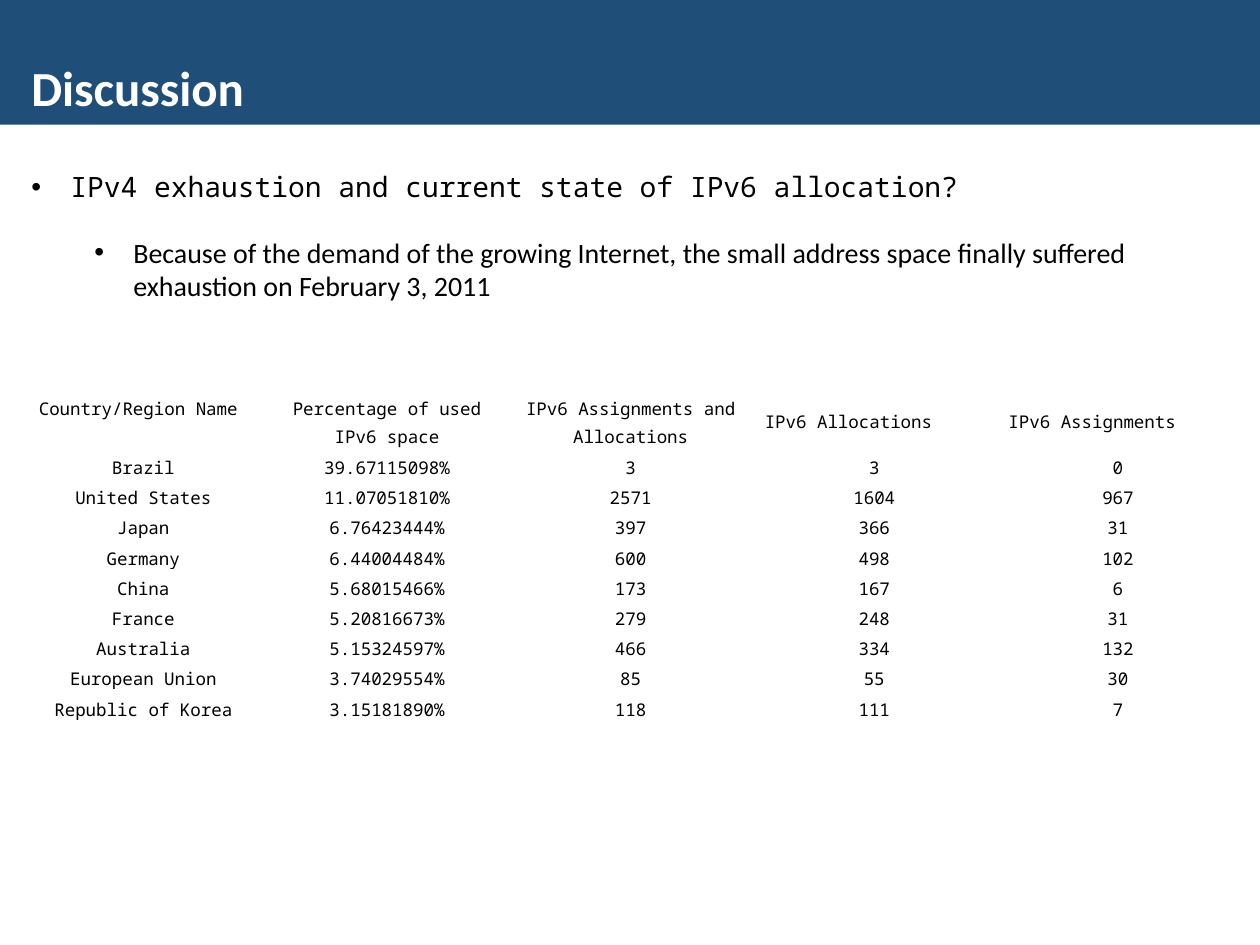
from dataclasses import dataclass

from lxml import etree
from pptx import Presentation
from pptx.dml.color import RGBColor
from pptx.enum.shapes import MSO_SHAPE
from pptx.enum.text import MSO_ANCHOR, MSO_AUTO_SIZE, PP_ALIGN
from pptx.oxml.ns import qn
from pptx.util import Inches, Pt

RECTANGLE = MSO_SHAPE.RECTANGLE
TOP, MIDDLE = MSO_ANCHOR.TOP, MSO_ANCHOR.MIDDLE
CENTER = PP_ALIGN.CENTER
FIT_SHAPE = MSO_AUTO_SIZE.SHAPE_TO_FIT_TEXT


@dataclass(frozen=True)
class Theme:
    banner: RGBColor = RGBColor(0x1F, 0x4E, 0x79)
    heading: RGBColor = RGBColor(0xFF, 0xFF, 0xFF)
    body: RGBColor = RGBColor(0, 0, 0)
    sans: str = "Calibri"
    mono: str = "Noto Sans Mono"
    heading_size: int = 28
    body_size: int = 16
    table_size: int = 10


THEME = Theme()

# Text, level, left indent in inches, font, space before in points
POINTS = [
    ("IPv4 exhaustion and current state of IPv6 allocation?",
     0, 0.31, THEME.mono, 0),
    ("Because of the demand of the growing Internet, the small address space "
     "finally suffered exhaustion\u00a0on February 3, 2011",
     1, 0.81, THEME.sans, 18),
]

# Header text, right margin in inches, vertical anchor
HEADERS = [
    ("Country/Region Name", 0.15, TOP),
    ("Percentage of used IPv6 space", 0.07, MIDDLE),
    ("IPv6 Assignments and Allocations", 0.07, MIDDLE),
    ("IPv6 Allocations", 0.48, MIDDLE),
    ("IPv6 Assignments", 0.48, MIDDLE),
]

ALLOCATIONS = [
    ("Brazil", "39.67115098%", 3, 3, 0),
    ("United States", "11.07051810%", 2571, 1604, 967),
    ("Japan", "6.76423444%", 397, 366, 31),
    ("Germany", "6.44004484%", 600, 498, 102),
    ("China", "5.68015466%", 173, 167, 6),
    ("France", "5.20816673%", 279, 248, 31),
    ("Australia", "5.15324597%", 466, 334, 132),
    ("European Union", "3.74029554%", 85, 55, 30),
    ("Republic of Korea", "3.15181890%", 118, 111, 7),
]


def style_runs(paragraph, font, size, color, bold=False):
    for run in paragraph.runs:
        run.font.name = font
        run.font.size = Pt(size)
        run.font.color.rgb = color
        run.font.bold = bold


def add_bullet(paragraph, indent, hang=0.31):
    properties = paragraph._p.get_or_add_pPr()
    properties.set("marL", str(Inches(indent)))
    properties.set("indent", str(-Inches(hang)))
    etree.SubElement(properties, qn("a:buFont")).set("typeface", "Arial")
    etree.SubElement(properties, qn("a:buChar")).set("char", "\u2022")


def add_banner(slide):
    banner = slide.shapes.add_shape(
        RECTANGLE, 0, 0, Inches(10), Inches(0.99))
    banner.shadow.inherit = False
    banner.fill.solid()
    banner.fill.fore_color.rgb = THEME.banner
    banner.line.fill.background()


def add_heading(slide, text):
    heading = slide.shapes.add_textbox(
        Inches(0.15), Inches(0.41), Inches(1.91), Inches(0.57)).text_frame
    heading.word_wrap = False
    heading.auto_size = FIT_SHAPE
    heading.text = text
    style_runs(heading.paragraphs[0], THEME.sans, THEME.heading_size,
               THEME.heading, bold=True)


def add_points(slide, points):
    body = slide.shapes.add_textbox(
        Inches(0.15), Inches(1.3), Inches(9.92), Inches(1.18)).text_frame
    body.word_wrap = True
    body.auto_size = FIT_SHAPE
    body.text = "\n".join(point[0] for point in points)
    for paragraph, (_, level, indent, font, gap) in zip(body.paragraphs, points):
        paragraph.level = level
        paragraph.space_before = Pt(gap)
        add_bullet(paragraph, indent)
        style_runs(paragraph, font, THEME.body_size, THEME.body)


def fill_cell(cell, text, right=0.07, anchor=MIDDLE):
    cell.fill.background()
    cell.margin_left, cell.margin_right = Inches(0.07), Inches(right)
    cell.margin_top = cell.margin_bottom = Inches(0.02)
    cell.vertical_anchor = anchor
    paragraph = cell.text_frame.paragraphs[0]
    paragraph.text = str(text)
    paragraph.alignment = CENTER
    paragraph.line_spacing = 1.2
    style_runs(paragraph, THEME.mono, THEME.table_size, THEME.body)


def add_allocation_table(slide, headers, records):
    table = slide.shapes.add_table(
        len(records) + 1, len(headers),
        Inches(0.17), Inches(3.09), Inches(9.67), Inches(2.6)).table
    table.first_row = table.horz_banding = False
    for index, row in enumerate(table.rows):
        row.height = Inches(0.24 if index else 0.47)
    # Header row
    for column, header in enumerate(headers):
        fill_cell(table.cell(0, column), *header)
    # Country rows
    for row, record in enumerate(records, start=1):
        for column, value in enumerate(record):
            fill_cell(table.cell(row, column), value)


def main():
    deck = Presentation()
    deck.slide_width, deck.slide_height = Inches(10), Inches(7.5)
    slide = deck.slides.add_slide(deck.slide_layouts[6])
    add_banner(slide)
    add_heading(slide, "Discussion")
    add_points(slide, POINTS)
    add_allocation_table(slide, HEADERS, ALLOCATIONS)
    deck.save("out.pptx")


main()
